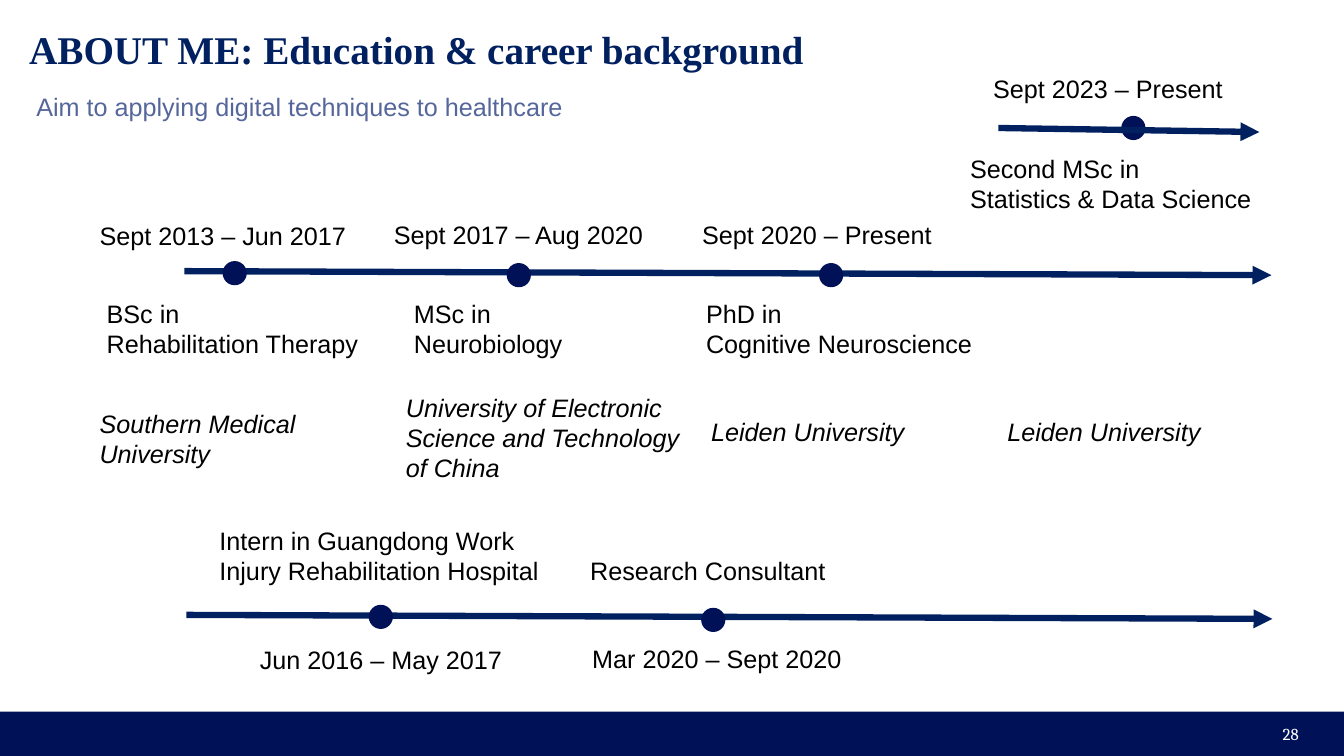
from lxml.etree import SubElement
from pptx import Presentation
from pptx.dml.color import RGBColor
from pptx.enum.shapes import MSO_CONNECTOR, MSO_SHAPE
from pptx.enum.text import MSO_ANCHOR, MSO_AUTO_SIZE, PP_ALIGN
from pptx.oxml.ns import qn
from pptx.util import Emu, Pt

SCALE = 9144  # 100 px to the inch
WIDE, HIGH = 1334, 750
DOT = 24
COLORS = {"navy": "001158", "blue": "002060", "slate": "55669B",
          "black": "000000", "white": "FFFFFF"}


def px(*nums):
    return [Emu(n * SCALE) for n in nums]


def color(name):
    return RGBColor.from_string(COLORS[name])


def put_text(slide, box, text, size=18, font="Arial", ink="black", bold=False,
             italic=False, align=PP_ALIGN.LEFT, anchor=MSO_ANCHOR.TOP,
             wrap=True, grow=True, inset=None):
    frame = slide.shapes.add_textbox(*px(*box)).text_frame
    frame.word_wrap = wrap
    frame.auto_size = MSO_AUTO_SIZE.SHAPE_TO_FIT_TEXT if grow else MSO_AUTO_SIZE.NONE
    frame.vertical_anchor = anchor
    if inset is not None:
        frame.margin_left, frame.margin_top, frame.margin_right, frame.margin_bottom = px(*[inset] * 4)
    for i, line in enumerate(text.split("\n")):
        para = frame.paragraphs[0] if i == 0 else frame.add_paragraph()
        para.alignment = align
        run = para.add_run()
        run.text = line
        run.font.name, run.font.size = font, Pt(size)
        run.font.bold, run.font.italic = bold, italic
        run.font.color.rgb = color(ink)


def put_shape(slide, kind, box):
    shape = slide.shapes.add_shape(kind, *px(*box))
    shape.shadow.inherit = False
    shape.fill.solid()
    shape.fill.fore_color.rgb = color("navy")
    shape.line.fill.background()


def put_arrow(slide, box):
    left, top, width, height = box
    arrow = slide.shapes.add_connector(
        MSO_CONNECTOR.STRAIGHT, *px(left, top, left + width, top + height))
    arrow.line.color.rgb = color("blue")
    arrow.line.width = Pt(4.5)
    SubElement(arrow.line._get_or_add_ln(), qn("a:tailEnd"), type="triangle")
    SubElement(arrow._element.spPr, qn("a:effectLst"))


def header(slide, box):
    left, top, width, height = box
    put_text(slide, (left, top, width, 67), "ABOUT ME: Education & career background",
             size=28, font="Times New Roman", ink="blue", bold=True,
             wrap=False, grow=False, inset=12)
    put_text(slide, (left + 7, top + height - 67, 546, 67),
             "Aim to applying digital techniques to healthcare",
             ink="slate", wrap=False, grow=False, inset=12)


def footer(slide, box):
    left, top, width, height = box
    put_shape(slide, MSO_SHAPE.RECTANGLE, box)
    put_text(slide, (left + width - 335, top + 2, 300, 40), "28", size=12,
             font="Cambria", ink="white", align=PP_ALIGN.RIGHT,
             anchor=MSO_ANCHOR.MIDDLE, grow=False)


def timeline(slide, box, dots, notes, front=False):
    """Draw an arrow across the box; dots and notes are offsets from its start."""
    left, top = box[:2]
    if not front:
        put_arrow(slide, box)
    for x, y in dots:
        put_shape(slide, MSO_SHAPE.OVAL, (left + x, top + y, DOT, DOT))
    if front:
        put_arrow(slide, box)
    for x, y, width, height, text in notes:
        put_text(slide, (left + x, top + y, width, height), text)


def schools(slide, box, names):
    left, top = box[:2]
    for x, y, width, height, name in names:
        put_text(slide, (left + x, top + y, width, height), name, italic=True)


def main():
    deck = Presentation()
    deck.slide_width, deck.slide_height = px(WIDE, HIGH)
    slide = deck.slides.add_slide(deck.slide_layouts[6])

    footer(slide, (0, 706, WIDE, 44))
    header(slide, (17, 13, 587, 133))

    # Main education line
    timeline(slide, (183, 269, 1079, 4), [(38, -10), (320, -8), (630, -8)], [
        (-94, -55, 268, 40, "Sept 2013 – Jun 2017"),
        (198, -56, 282, 40, "Sept 2017 – Aug 2020"),
        (504, -56, 260, 40, "Sept 2020 – Present"),
        (-87, 22, 271, 71, "BSc in\nRehabilitation Therapy"),
        (218, 22, 251, 71, "MSc in\nNeurobiology"),
        (508, 22, 286, 71, "PhD in\nCognitive Neuroscience")])

    # Second master's line
    timeline(slide, (991, 127, 259, 4), [(122, -12)], [
        (-15, -59, 261, 40, "Sept 2023 – Present"),
        (-38, 20, 309, 71, "Second MSc in\nStatistics & Data Science")], front=True)

    # Universities
    schools(slide, (89, 384, 1116, 101), [
        (0, 16, 220, 71, "Southern Medical University"),
        (304, 0, 295, 101, "University of Electronic\nScience and Technology\nof China"),
        (607, 24, 215, 40, "Leiden University"),
        (901, 24, 215, 40, "Leiden University")])

    # Career line
    timeline(slide, (185, 610, 1078, 4), [(181, -10), (511, -7)], [
        (23, -94, 344, 71, "Intern in Guangdong Work Injury Rehabilitation Hospital"),
        (391, -64, 262, 40, "Research Consultant"),
        (63, 24, 268, 40, "Jun 2016 – May 2017"),
        (393, 23, 268, 40, "Mar 2020 – Sept 2020")])

    deck.save("out.pptx")


if __name__ == "__main__":
    main()
